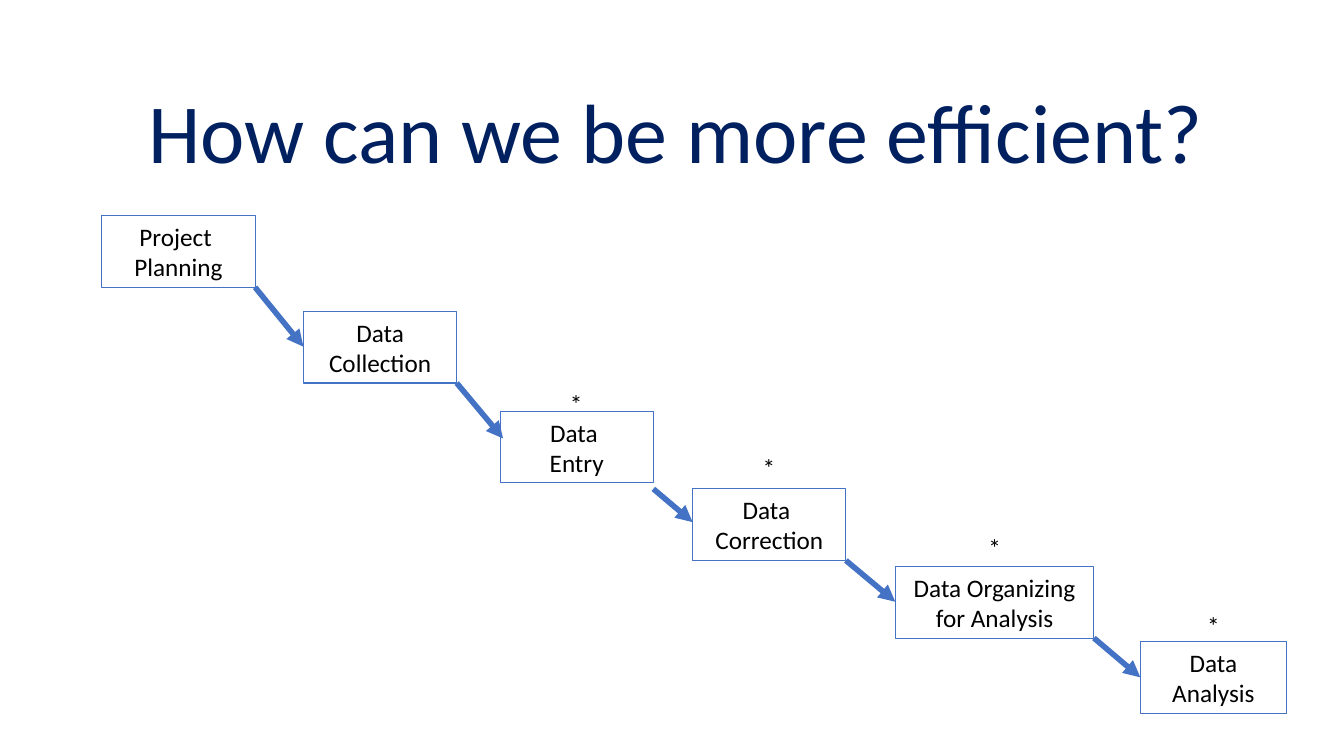
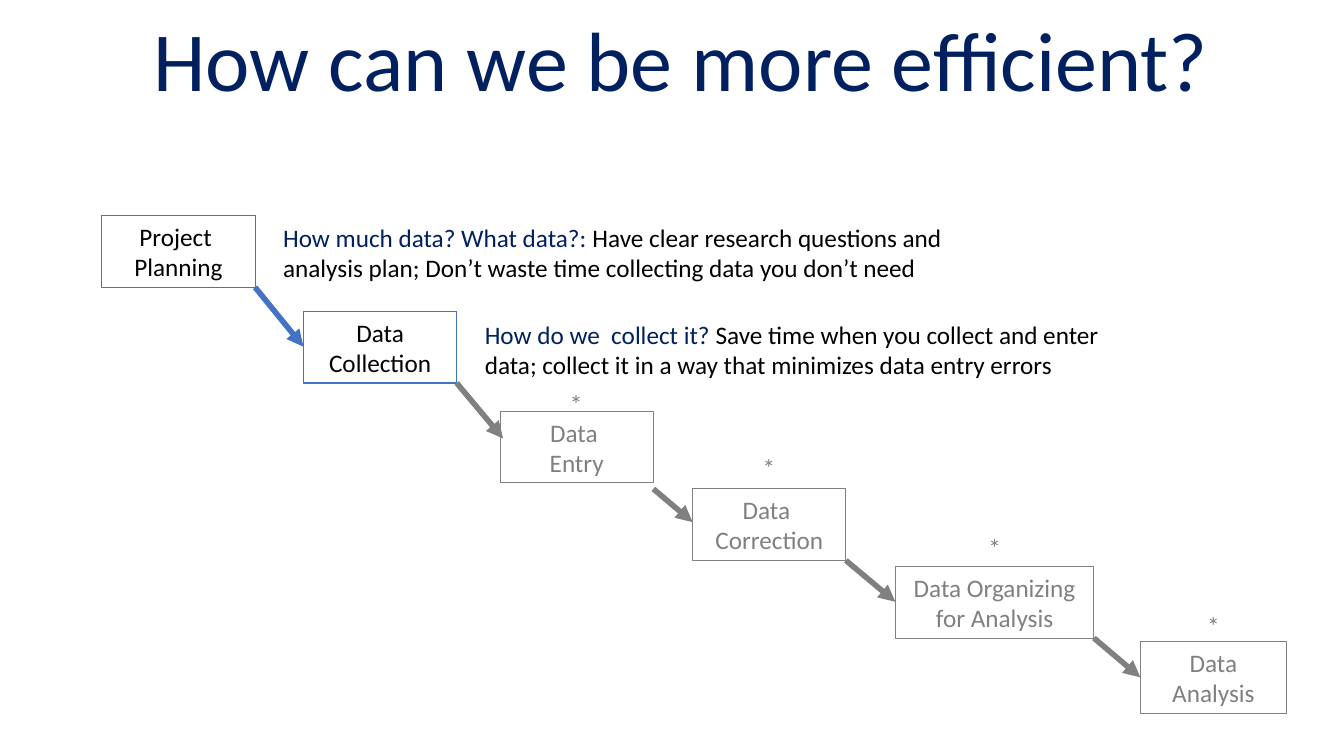
from pptx import Presentation, util as u
from pptx.dml.color import RGBColor
from pptx.enum import shapes, text
from pptx.oxml.ns import qn
from lxml import etree

PX = 9144  # 100 px to the inch
NAVY, BLUE, GRAY, BLACK = "002060", "4472C4", "808080", "000000"
TITLE = "How can we be more efficient?"
TITLE_SIZE = (1139, 111)
TITLE_FONT = {"name": "Calibri", "size": u.Pt(60), "bold": False}
BODY_FONT = {"name": "Calibri", "size": u.Pt(18)}
FRAME = {"word_wrap": True, "auto_size": text.MSO_AUTO_SIZE.NONE,
         "vertical_anchor": text.MSO_ANCHOR.MIDDLE}
LEFT, CENTER = text.PP_ALIGN.LEFT, text.PP_ALIGN.CENTER
STAR_WIDTH, STAR_HEIGHT = 55, 40
NOTE_GAP = 18

# Steps: box, paragraphs, rise of the star above the box (0 for no star)
STEPS = [
    ((101, 214, 152, 71), ["Project ", "Planning"], 0),
    ((301, 309, 152, 71), ["Data Collection"], 0),
    ((496, 408, 152, 71), ["Data ", "Entry"], 28),
    ((687, 485, 152, 71), ["Data ", "Correction"], 41),
    ((888, 562, 197, 71), ["Data Organizing for Analysis"], 39),
    ((1131, 636, 145, 72), ["Data Analysis"], 36),
]
# Shifts of an arrow's start and end, by the step it leaves
ARROW_SHIFTS = {1: (0, 0, 3, -8), 2: (0, 6, 0, -2)}

# Notes: step, width, drop below the top of its box, question, answer
NOTES = [
    (0, 744, 1, "How much data? What data?: ",
     "Have clear research questions and analysis plan; "
     "Don’t waste time collecting data you don’t need"),
    (1, 669, 2, "How do we  collect it? ",
     "Save time when you collect and enter data; "
     "collect it in a way that minimizes data entry errors"),
]


def px(*lengths):
    return [u.Emu(length * PX) for length in lengths]


def color(value):
    return RGBColor.from_string(value)


def apply(target, values):
    for name, value in values.items():
        setattr(target, name, value)


def write(shape, paragraphs, alignment, font=BODY_FONT):
    """Fill a shape with paragraphs, each a list of (words, colour) runs."""
    frame = shape.text_frame
    apply(frame, FRAME)
    for index, runs in enumerate(paragraphs):
        paragraph = frame.add_paragraph() if index else frame.paragraphs[0]
        paragraph.alignment = alignment
        for words, value in runs:
            run = paragraph.add_run()
            run.text = words
            apply(run.font, font)
            run.font.color.rgb = color(value)


def add_title(slide, left, top):
    title = slide.shapes.title
    apply(title, dict(zip(("left", "top", "width", "height"),
                          px(left, top, *TITLE_SIZE))))
    write(title, [[(TITLE, NAVY)]], LEFT, TITLE_FONT)


def add_text(slide, box, runs, alignment=LEFT):
    write(slide.shapes.add_textbox(*px(*box)), [runs], alignment)


def add_step(slide, box, lines, rise, line_color, text_color):
    left, top, width, height = box
    shape = slide.shapes.add_shape(shapes.MSO_SHAPE.RECTANGLE, *px(*box))
    shape.shadow.inherit = False
    shape.fill.background()
    shape.line.color.rgb = color(line_color)
    shape.line.width = u.Pt(0.75)
    write(shape, [[(line, text_color)] for line in lines], CENTER)
    if rise:
        star_left = left + (width - STAR_WIDTH) / 2
        add_text(slide, (int(star_left), top - rise, STAR_WIDTH, STAR_HEIGHT),
                 [("*", text_color)], CENTER)


def add_arrow(slide, box, next_box, shifts, line_color):
    """Join a box's lower right corner to the middle of the next left edge."""
    left, top, width, height = box
    next_left, next_top, _, next_height = next_box
    ends = (left + width, top + height, next_left, next_top + next_height // 2)
    arrow = slide.shapes.add_connector(
        shapes.MSO_CONNECTOR.STRAIGHT,
        *px(*(end + shift for end, shift in zip(ends, shifts))))
    arrow.line.color.rgb = color(line_color)
    arrow.line.width = u.Pt(4)
    etree.SubElement(arrow.line._get_or_add_ln(), qn("a:tailEnd"), type="triangle")
    etree.SubElement(arrow._element.spPr, qn("a:effectLst"))


def add_note(slide, box, width, drop, question, answer):
    left, top, box_width, height = box
    add_text(slide, (left + box_width + NOTE_GAP, top + drop, width, height),
             [(question, NAVY), (answer, BLACK)])


def add_steps_slide(presentation, title_at, active, notes=()):
    """Draw the staircase; steps from number `active` on are grayed out."""
    slide = presentation.slides.add_slide(presentation.slide_layouts[5])
    add_title(slide, *title_at)
    # Boxes and stars
    for index, step in enumerate(STEPS):
        colors = (BLUE, BLACK) if index < active else (GRAY, GRAY)
        add_step(slide, *step, *colors)
    # Arrows
    for index, (step, following) in enumerate(zip(STEPS, STEPS[1:])):
        add_arrow(slide, step[0], following[0],
                  ARROW_SHIFTS.get(index, (0, 0, 0, 0)),
                  BLUE if index + 1 < active else GRAY)
    # Notes beside the active steps
    for index, *note in notes:
        add_note(slide, STEPS[index][0], *note)


def main():
    presentation = Presentation()
    presentation.slide_width, presentation.slide_height = u.Inches(13.33), u.Inches(7.5)
    add_steps_slide(presentation, (137, 73), len(STEPS))
    add_steps_slide(presentation, (142, 2), 2, NOTES)
    presentation.save("out.pptx")


if __name__ == "__main__":
    main()
